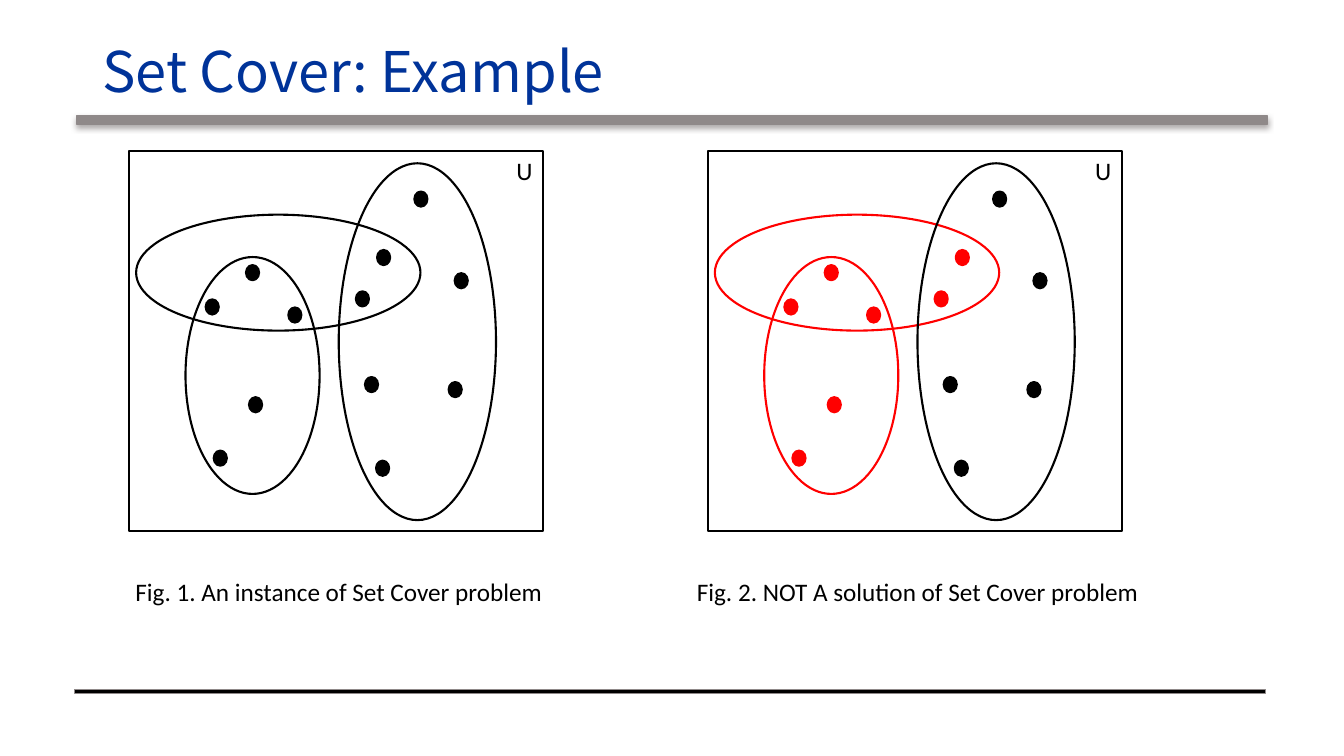
from dataclasses import dataclass

from lxml import etree
from pptx import Presentation
from pptx import util as u
from pptx.dml.color import RGBColor
from pptx.enum import shapes, text
from pptx.oxml import ns
from pptx.shapes.autoshape import Shape
from pptx.slide import Slide


@dataclass(frozen=True)
class Theme:
    title: str = "003399"
    bar: str = "8F8989"
    bar_shadow: str = "AFABAB"
    ink: str = "000000"
    chosen: str = "FF0000"
    paper: str = "FFFFFF"
    title_font: str = "Noto Sans CJK SC"
    body_font: str = "Calibri"
    title_size: int = 40
    body_size: int = 18


@dataclass(frozen=True)
class Box:
    left: float
    top: float
    width: float
    height: float

    def shifted(self, distance: float) -> "Box":
        return Box(self.left + distance, self.top, self.width, self.height)

    def lengths(self) -> tuple[u.Length, ...]:
        return tuple(u.Inches(n) for n in (self.left, self.top, self.width, self.height))


@dataclass(frozen=True)
class Member:
    """A set or a dot, and whether the chosen sets include it."""
    box: Box
    chosen: bool


@dataclass(frozen=True)
class Figure:
    caption: str
    shift: float
    chosen_color: str


THEME = Theme()
RECTANGLE = shapes.MSO_SHAPE.RECTANGLE
OVAL = shapes.MSO_SHAPE.OVAL
FRAME = Box(1.28, 1.5, 4.11, 3.77)
UNIVERSE_LABEL = Box(4.86, 1.49, 0.52, 0.4)
CAPTION = Box(0.79, 5.67, 5.14, 0.4)

SETS = [
    Member(Box(1.35, 2.13, 2.82, 1.15), True),
    Member(Box(1.84, 2.55, 1.33, 2.35), True),
    Member(Box(3.36, 1.62, 1.56, 3.54), False),
]
COVERED_DOTS = [(2.04, 2.97), (2.44, 2.63), (2.86, 3.05), (3.74, 2.48),
                (3.53, 2.89), (2.47, 3.94), (2.12, 4.47)]
UNCOVERED_DOTS = [(4.45, 3.79), (3.62, 3.74), (3.73, 4.57), (4.11, 1.9), (4.51, 2.71)]
DOTS = [
    Member(Box(left, top, 0.13, 0.15), chosen)
    for places, chosen in ((COVERED_DOTS, True), (UNCOVERED_DOTS, False))
    for left, top in places
]
FIGURES = [
    Figure("Fig. 1. An instance of Set Cover problem", 0, THEME.ink),
    Figure("Fig. 2. NOT A solution of Set Cover problem", 5.74, THEME.chosen),
]


def add_outline(slide: Slide, kind: shapes.MSO_SHAPE, box: Box, line: str,
                fill: str | None = None, weight: float = 1.5) -> Shape:
    shape = slide.shapes.add_shape(kind, *box.lengths())
    shape.shadow.inherit = False
    shape.line.color.rgb = RGBColor.from_string(line)
    shape.line.width = u.Pt(weight)
    if fill is None:
        shape.fill.background()
    else:
        shape.fill.solid()
        shape.fill.fore_color.rgb = RGBColor.from_string(fill)
    return shape


def add_text(slide: Slide, box: Box, words: str, align: text.PP_ALIGN,
             font: str = THEME.body_font, size: int = THEME.body_size,
             color: str = THEME.ink) -> Shape:
    shape = slide.shapes.add_textbox(*box.lengths())
    shape.text_frame.word_wrap = True
    paragraph = shape.text_frame.paragraphs[0]
    paragraph.text = words
    paragraph.alignment = align
    paragraph.font.name = font
    paragraph.font.size = u.Pt(size)
    paragraph.font.color.rgb = RGBColor.from_string(color)
    return shape


def add_drop_shadow(shape: Shape, color: str) -> None:
    effects = shape._element.spPr.find(ns.qn("a:effectLst"))
    shadow = etree.SubElement(effects, ns.qn("a:outerShdw"), blurRad=str(u.Pt(4)),
                              dist=str(u.Pt(2)), dir="5400000", algn="t", rotWithShape="0")
    etree.SubElement(shadow, ns.qn("a:srgbClr"), val=color)


def add_heading(slide: Slide) -> None:
    title = add_text(slide, Box(0.92, 0.25, 11.2, 0.98), "Set Cover: Example",
                     text.PP_ALIGN.LEFT, THEME.title_font, THEME.title_size, THEME.title)
    title.text_frame.vertical_anchor = text.MSO_ANCHOR.MIDDLE
    title.text_frame.paragraphs[0].line_spacing = 0.9


def add_figure(slide: Slide, figure: Figure) -> None:
    add_outline(slide, RECTANGLE, FRAME.shifted(figure.shift), THEME.ink, THEME.paper)
    for members, filled in ((SETS, False), (DOTS, True)):
        for member in members:
            color = figure.chosen_color if member.chosen else THEME.ink
            add_outline(slide, OVAL, member.box.shifted(figure.shift), color,
                        color if filled else None)
    add_text(slide, UNIVERSE_LABEL.shifted(figure.shift), "U", text.PP_ALIGN.RIGHT)
    add_text(slide, CAPTION.shifted(figure.shift), figure.caption, text.PP_ALIGN.CENTER)


def main() -> None:
    presentation = Presentation()
    presentation.slide_width = u.Inches(13.33)
    presentation.slide_height = u.Inches(7.5)
    slide = presentation.slides.add_slide(presentation.slide_layouts[6])
    header_bar = add_outline(slide, RECTANGLE, Box(0.76, 1.15, 11.81, 0.08),
                             THEME.bar, THEME.bar, 1)
    add_drop_shadow(header_bar, THEME.bar_shadow)
    add_outline(slide, RECTANGLE, Box(0.74, 6.84, 11.81, 0.04), THEME.bar, THEME.ink, 1)
    add_heading(slide)
    for figure in FIGURES:
        add_figure(slide, figure)
    presentation.save("out.pptx")


if __name__ == "__main__":
    main()
